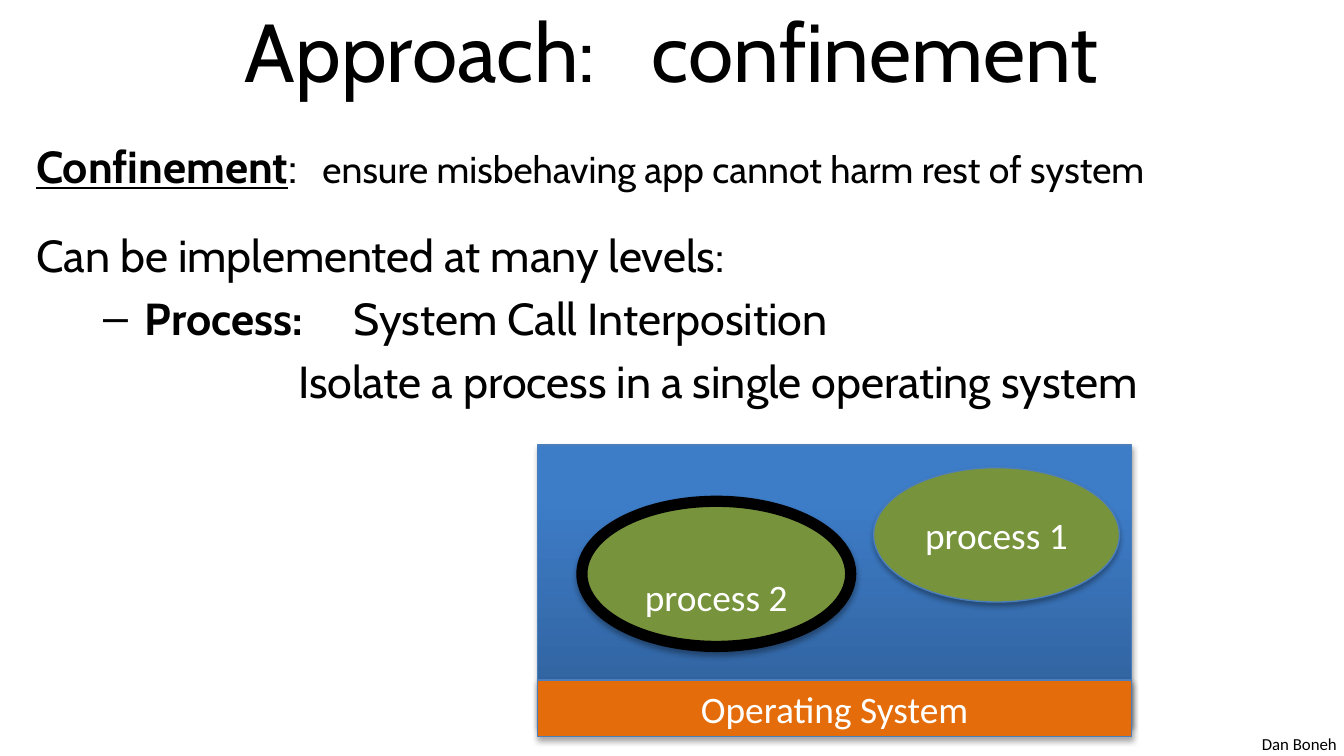
from lxml import etree
from pptx import Presentation
from pptx.dml.color import RGBColor
from pptx.enum import shapes, text
from pptx.oxml import ns
from pptx.util import Inches, Pt

BLACK, WHITE = "000000", "FFFFFF"
BLUE_LINE, GREEN, ORANGE = "4B7EBC", "77933C", "E46C0A"
HEADING_FONT, LABEL_FONT = "Cabin", "Calibri"


def color(hex_value):
    return RGBColor.from_string(hex_value)


def style(font, size, name=HEADING_FONT, fill=BLACK, bold=False):
    font.size = Pt(size)
    font.name = name
    font.bold = bold
    font.color.rgb = color(fill)


def add_run(paragraph, words, size, bold=False, underline=False):
    run = paragraph.add_run()
    run.text = words
    style(run.font, size, bold=bold)
    run.font.underline = underline
    return run


def add_gap(paragraph, size, extra):
    """Add one space widened by some extra points."""
    gap = add_run(paragraph, " ", size)
    gap.font._element.set("spc", str(int(extra * 100)))


def add_text_box(slide, left, top, width, height, wrap=True):
    box = slide.shapes.add_textbox(
        Inches(left), Inches(top), Inches(width), Inches(height))
    box.text_frame.word_wrap = wrap
    return box.text_frame


def add_line(frame, before, left=0, hanging=0, bullet=None):
    paragraph = frame.add_paragraph()
    paragraph.space_before = Pt(before)
    properties = paragraph._p.get_or_add_pPr()
    properties.set("marL", str(Inches(left)))
    properties.set("indent", str(-Inches(hanging)))
    if bullet:
        etree.SubElement(properties, ns.qn("a:buFont"), typeface="Arial")
        etree.SubElement(properties, ns.qn("a:buChar"), char=bullet)
    return paragraph


def add_shadow(shape):
    shape.shadow.inherit = False
    effects = shape._element.spPr.find(ns.qn("a:effectLst"))
    shadow = etree.SubElement(
        effects, ns.qn("a:outerShdw"), blurRad=str(Pt(3.1)),
        dist=str(Pt(1.8)), dir="5400000", rotWithShape="0")
    tint = etree.SubElement(shadow, ns.qn("a:srgbClr"), val=BLACK)
    etree.SubElement(tint, ns.qn("a:alpha"), val="35000")


def add_block(slide, kind, left, top, width, height, fill=None, label="",
              line=BLUE_LINE, line_width=0.75, anchor=text.MSO_ANCHOR.MIDDLE):
    block = slide.shapes.add_shape(
        kind, Inches(left), Inches(top), Inches(width), Inches(height))
    if fill:
        block.fill.solid()
        block.fill.fore_color.rgb = color(fill)
    block.line.color.rgb = color(line)
    block.line.width = Pt(line_width)
    add_shadow(block)
    if label:
        frame = block.text_frame
        frame.text = label
        frame.vertical_anchor = anchor
        frame.paragraphs[0].alignment = text.PP_ALIGN.CENTER
        style(frame.paragraphs[0].runs[0].font, 20, LABEL_FONT, WHITE)
    return block


def add_title(slide):
    frame = add_text_box(slide, 0.5, -0.1, 9, 0.94)
    frame.vertical_anchor = text.MSO_ANCHOR.MIDDLE
    heading = frame.paragraphs[0]
    heading.alignment = text.PP_ALIGN.CENTER
    add_run(heading, "Approach:", 44)
    add_gap(heading, 44, 20)
    add_run(heading, "confinement", 44)


def add_body(slide):
    frame = add_text_box(slide, 0.17, 0.98, 9.5, 4.62)
    definition = frame.paragraphs[0]
    add_run(definition, "Confinement", 24, bold=True, underline=True)
    add_run(definition, ":", 24)
    add_gap(definition, 20, 9)
    add_run(definition, "ensure misbehaving app cannot harm rest of system", 20)

    levels = add_line(frame, 19)
    add_run(levels, "Can be implemented at many levels:", 24)

    process = add_line(frame, 5, left=0.81, hanging=0.31, bullet="–")
    add_run(process, "Process:", 24, bold=True)
    add_gap(process, 24, 22)
    add_run(process, "System Call Interposition", 24)

    isolation = add_line(frame, 5, left=1.95)
    add_run(isolation, "Isolate a process in a single operating system", 24)


def add_system_diagram(slide):
    rectangle, oval = shapes.MSO_SHAPE.RECTANGLE, shapes.MSO_SHAPE.OVAL

    # Machine, dark at the bottom
    machine = add_block(slide, rectangle, 4, 3.31, 4.42, 2.08)
    machine.fill.gradient()
    machine.fill.gradient_angle = 90
    stops = zip(machine.fill.gradient_stops, (0, 0.8), ("2F5F99", "3D7CC7"))
    for stop, position, shade in stops:
        stop.position = position
        stop.color.rgb = color(shade)

    # Operating system and its processes
    add_block(slide, rectangle, 4, 5.06, 4.42, 0.42, ORANGE, "Operating System")
    add_block(slide, oval, 4.33, 3.73, 2, 1.08, GREEN, "process 2",
              line=BLACK, line_width=6, anchor=text.MSO_ANCHOR.BOTTOM)
    add_block(slide, oval, 6.5, 3.48, 1.83, 1, GREEN, "process 1")


def add_author(slide):
    frame = add_text_box(slide, 9.29, 5.41, 0.76, 0.25, wrap=False)
    frame.text = "Dan Boneh"
    style(frame.paragraphs[0].runs[0].font, 9, LABEL_FONT)


def main():
    # Widescreen page, 16 to 9
    deck = Presentation()
    deck.slide_width, deck.slide_height = Inches(10), Inches(10 * 9 / 16)
    slide = deck.slides.add_slide(deck.slide_layouts[6])

    add_author(slide)
    add_title(slide)
    add_body(slide)
    add_system_diagram(slide)
    deck.save("out.pptx")


if __name__ == "__main__":
    main()
